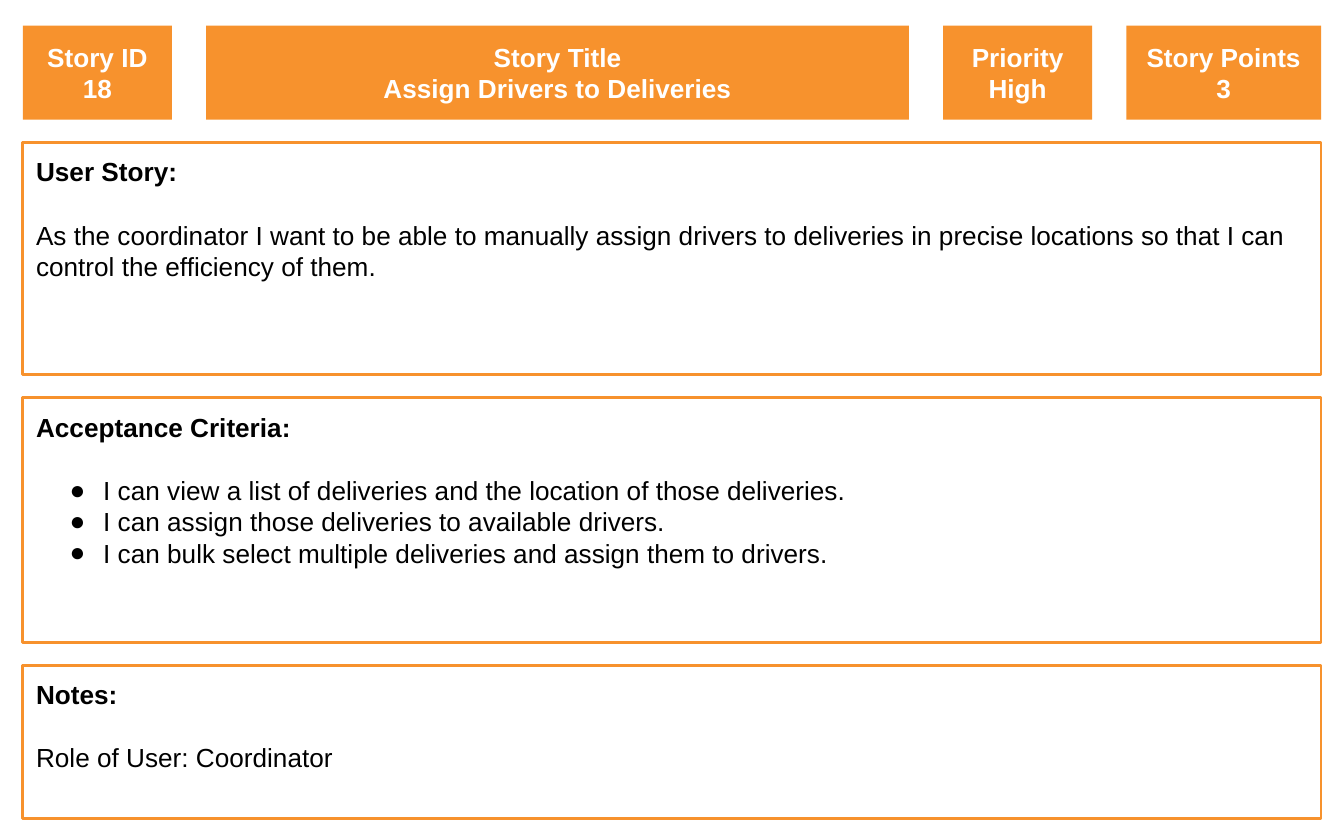
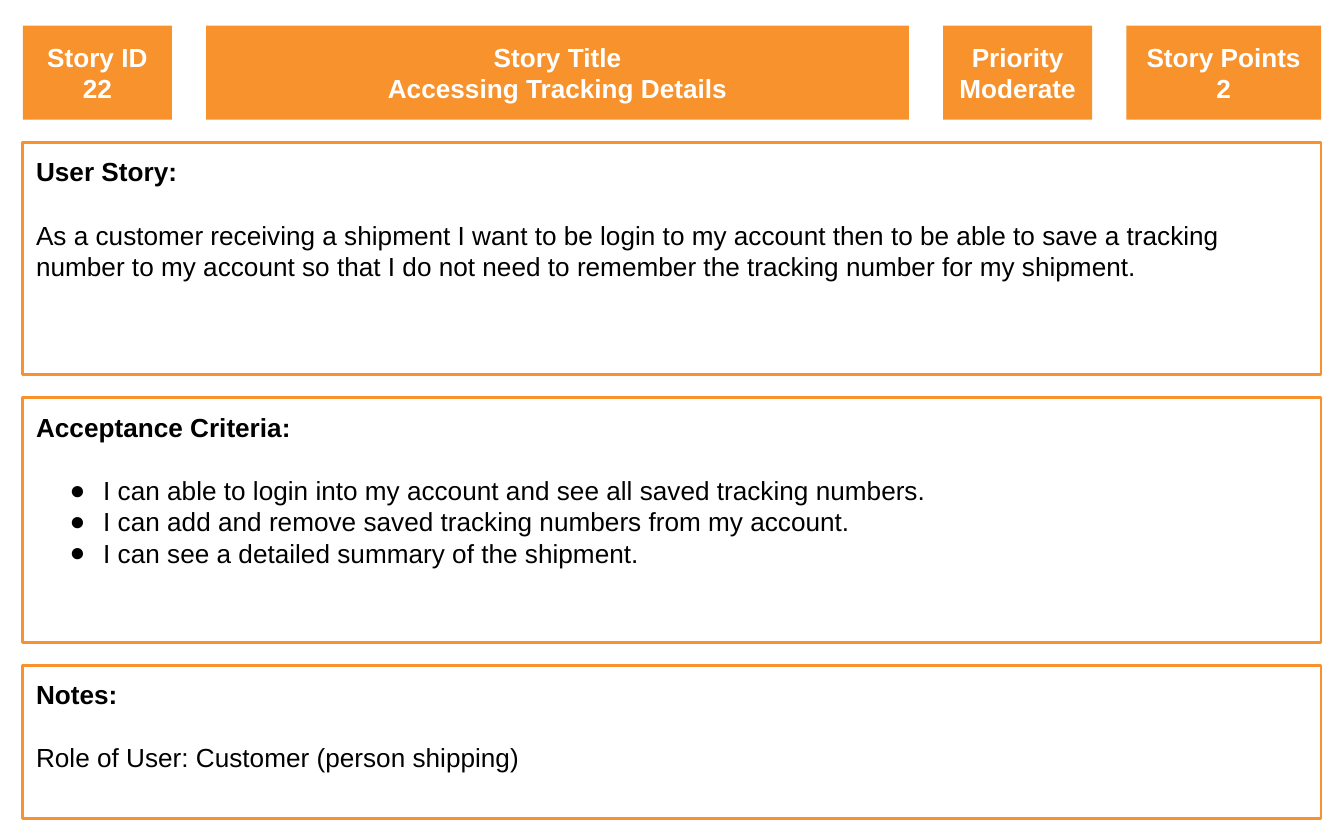
from itertools import accumulate

from lxml import etree
from pptx import Presentation
from pptx.dml.color import RGBColor
from pptx.enum.shapes import MSO_SHAPE
from pptx.enum.text import MSO_ANCHOR, MSO_AUTO_SIZE, PP_ALIGN
from pptx.oxml.ns import qn
from pptx.util import Inches, Pt

RECTANGLE = MSO_SHAPE.RECTANGLE
TOP, MIDDLE = MSO_ANCHOR.TOP, MSO_ANCHOR.MIDDLE
LEFT, CENTER = PP_ALIGN.LEFT, PP_ALIGN.CENTER
NO_FIT = MSO_AUTO_SIZE.NONE

SLIDE_WIDTH, SLIDE_HEIGHT = 10, 6.25
COLUMN_WIDTHS = [1.11, 5.23, 1.11, 1.45]  # ID, title, priority, points
ROW_HEIGHTS = [0.7, 1.73, 1.82, 1.14]  # header, story, criteria, notes
ROW_GAP = 0.17
MARGIN_LEFT, MARGIN_TOP = 0.17, 0.19
CONTENT_WIDTH = SLIDE_WIDTH - 2 * MARGIN_LEFT
COLUMN_GAP = (CONTENT_WIDTH - sum(COLUMN_WIDTHS)) / (len(COLUMN_WIDTHS) - 1)

STORIES = [
    {
        "header": ["18", "Assign Drivers to Deliveries", "High", "3"],
        "story": "As the coordinator I want to be able to manually assign drivers to "
                 "deliveries in precise locations so that I can control the "
                 "efficiency of them.",
        "criteria": [
            "I can view a list of deliveries and the location of those deliveries.",
            "I can assign those deliveries to available drivers.",
            "I can bulk select multiple deliveries and assign them to drivers.",
        ],
        "notes": "Role of User: Coordinator",
    },
    {
        "header": ["22", "Accessing Tracking Details", "Moderate", "2"],
        "story": "As a customer receiving a shipment I want to be login to my account "
                 "then to be able to save a tracking number to my account so that I "
                 "do not need to remember the tracking number for my shipment.",
        "criteria": [
            "I can able to login into my account and see all saved tracking numbers.",
            "I can add and remove saved tracking numbers from my account.",
            "I can see a detailed summary of the shipment.",
        ],
        "notes": "Role of User: Customer (person shipping)",
    },
]


def rgb(hex_string):
    return RGBColor.from_string(hex_string)


def grid_starts(first, sizes, gap):
    """Starting positions of tracks of the given sizes, separated by a gap."""
    return list(accumulate((size + gap for size in sizes[:-1]), initial=first))


COLUMNS = grid_starts(MARGIN_LEFT, COLUMN_WIDTHS, COLUMN_GAP)
ROWS = grid_starts(MARGIN_TOP, ROW_HEIGHTS, ROW_GAP)


class StoryCard:
    ORANGE, WHITE, BLACK = "F7922D", "FFFFFF", "000000"
    FONT, SIZE = "Arial", 14
    HEADING_GAP = 17

    def __init__(self, deck):
        self.slide = deck.slides.add_slide(deck.slide_layouts[5])

    def place(self, box, left, row, width, fill, anchor):
        box.left, box.top = Inches(left), Inches(ROWS[row])
        box.width, box.height = Inches(width), Inches(ROW_HEIGHTS[row])
        box.fill.solid()
        box.fill.fore_color.rgb = rgb(fill)
        frame = box.text_frame
        frame.word_wrap = True
        frame.auto_size = NO_FIT
        frame.vertical_anchor = anchor
        frame.margin_left = frame.margin_right = Inches(0.1)
        frame.margin_top = frame.margin_bottom = Inches(0.1)

    def rectangle(self):
        box = self.slide.shapes.add_shape(RECTANGLE, 0, 0, 0, 0)
        box.shadow.inherit = False
        return box

    def add_lines(self, frame, lines, color, align, bold_lines):
        """Fill the frame with one paragraph a line, the first ones bold."""
        for index, line in enumerate(lines):
            paragraph = frame.add_paragraph() if index else frame.paragraphs[0]
            paragraph.alignment = align
            run = paragraph.add_run()
            run.text = line
            run.font.name, run.font.size = self.FONT, Pt(self.SIZE)
            run.font.bold = index < bold_lines
            run.font.color.rgb = rgb(color)

    def bullet(self, paragraph):
        properties = paragraph._p.get_or_add_pPr()
        properties.set("marL", str(Inches(0.5)))
        properties.set("indent", str(Inches(-0.25)))
        color = etree.SubElement(properties, qn("a:buClr"))
        etree.SubElement(color, qn("a:srgbClr"), val=self.BLACK)
        etree.SubElement(properties, qn("a:buFont"), typeface=self.FONT)
        etree.SubElement(properties, qn("a:buChar"), char="●")

    def header(self, column, label, value, is_title=False):
        cell = self.slide.shapes.title if is_title else self.rectangle()
        self.place(cell, COLUMNS[column], 0, COLUMN_WIDTHS[column], self.ORANGE, MIDDLE)
        cell.line.fill.background()
        self.add_lines(cell.text_frame, [label, value], self.WHITE, CENTER, bold_lines=2)

    def section(self, row, heading, lines, bulleted=False):
        panel = self.rectangle()
        self.place(panel, MARGIN_LEFT, row, CONTENT_WIDTH, self.WHITE, TOP)
        panel.line.color.rgb = rgb(self.ORANGE)
        panel.line.width = Pt(1.5)
        frame = panel.text_frame
        self.add_lines(frame, [heading, *lines], self.BLACK, LEFT, bold_lines=1)
        frame.paragraphs[0].space_after = Pt(self.HEADING_GAP)
        if bulleted:
            for paragraph in frame.paragraphs[1:]:
                self.bullet(paragraph)


def main():
    deck = Presentation()
    deck.slide_width, deck.slide_height = Inches(SLIDE_WIDTH), Inches(SLIDE_HEIGHT)
    labels = ["Story ID", "Story Title", "Priority", "Story Points"]
    for story in STORIES:
        card = StoryCard(deck)
        for column, (label, value) in enumerate(zip(labels, story["header"])):
            card.header(column, label, value, is_title=label == "Story Title")
        card.section(1, "User Story:", [story["story"]])
        card.section(2, "Acceptance Criteria:", story["criteria"], bulleted=True)
        card.section(3, "Notes:", [story["notes"]])
    deck.save("out.pptx")


if __name__ == "__main__":
    main()
